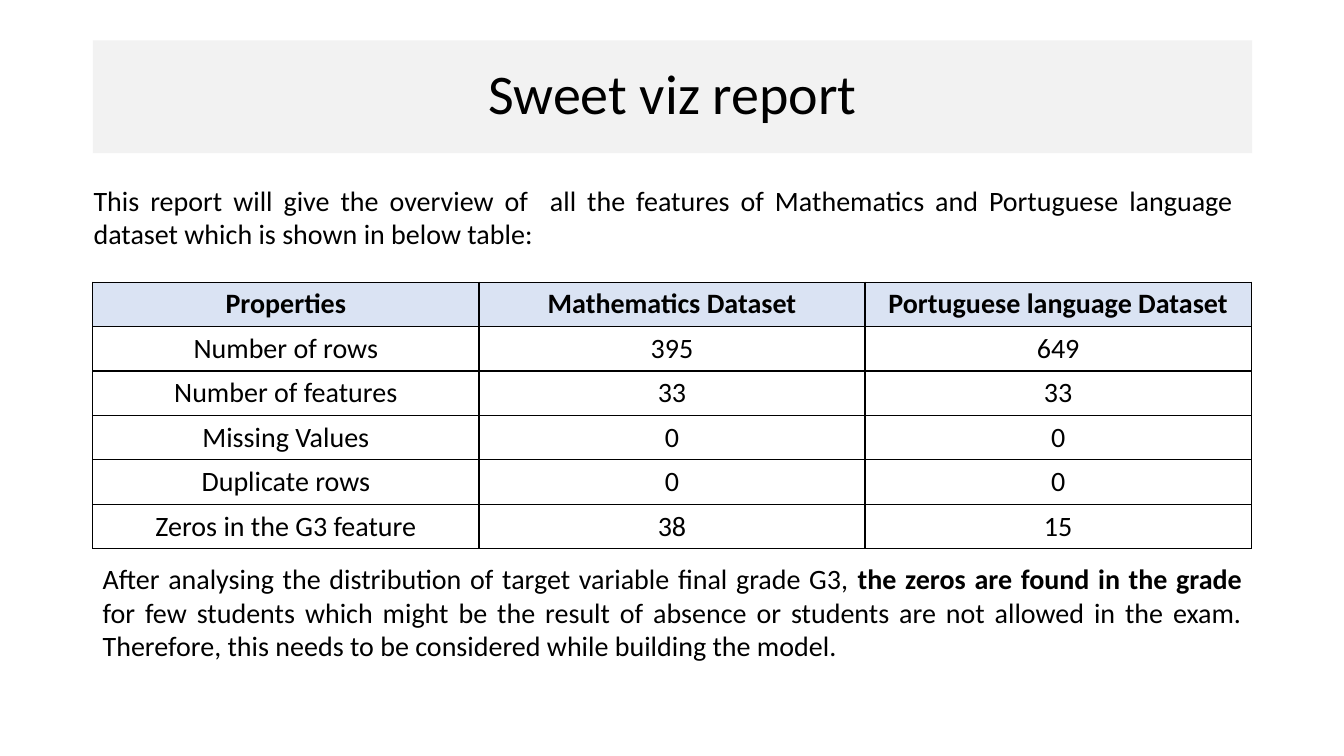
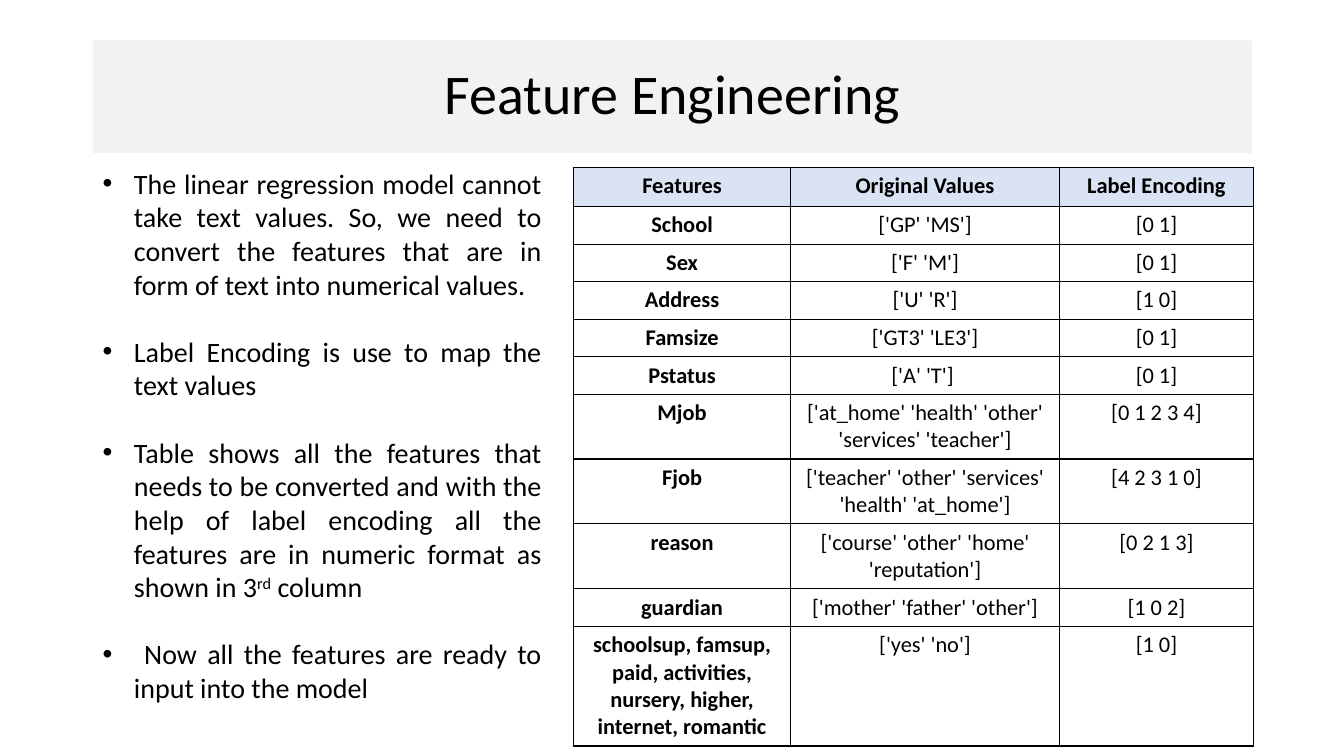
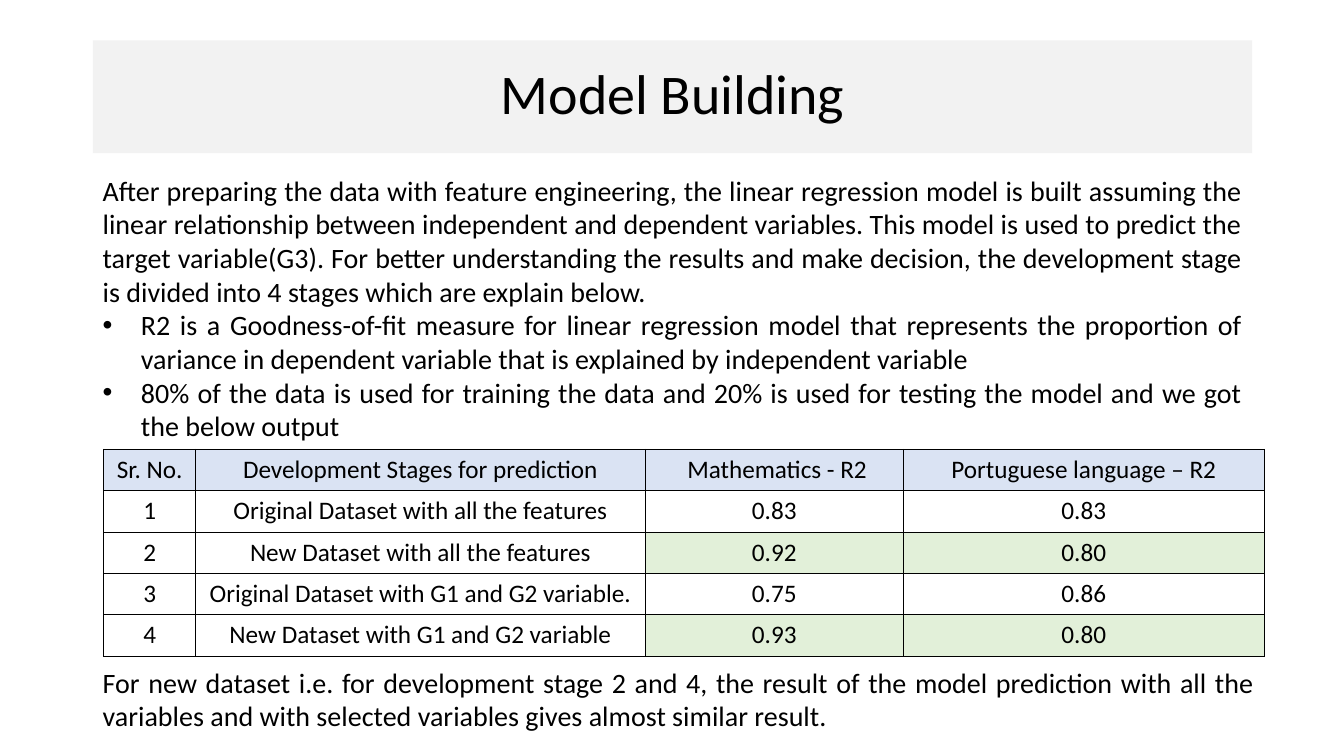
"""Build three slides on a student grade model: data report, feature encoding and results."""
import pptx
import pptx.util
import pptx.dml.color
import pptx.enum.text
import pptx.oxml
import pptx.oxml.ns
from lxml import etree

Inches, Pt = pptx.util.Inches, pptx.util.Pt
ALIGN = pptx.enum.text.PP_ALIGN
ANCHOR = pptx.enum.text.MSO_ANCHOR
RGB = pptx.dml.color.RGBColor.from_string
COLORS = {"text": "000000", "band": "F2F2F2", "header": "DAE3F3", "best": "E2F0D9"}
TITLE_AT = (0.92, 0.4, 11.5, 1.12)

slides = [
    {
        "title": "Sweet viz report",
        "at": (0.92, 2.8), "cols": [3.83] * 3, "heights": [0.44] * 6, "size": 20,
        "bold_header": True, "bold_first": False, "best": [],
        "rows": [
            ["Properties", "Mathematics Dataset", "Portuguese language Dataset"],
            ["Number of rows", "395", "649"],
            ["Number of features", "33", "33"],
            ["Missing Values", "0", "0"],
            ["Duplicate rows", "0", "0"],
            ["Zeros in the G3 feature", "38", "15"],
        ],
        "indent": 0, "gap": 0,
        "texts": [
            ((0.83, 1.77, 11.5, 0.77), [
                [("This report will give the overview of  all the features of Mathematics and "
                  "Portuguese language dataset which is shown in below table:", {})],
            ]),
            ((0.92, 5.52, 11.5, 1.41), [
                [("After analysing the distribution of target variable final grade G3, ", {}),
                 ("the zeros are found in the grade ", {"bold": True}),
                 ("for few students which might be the result of absence or students are not "
                  "allowed in the exam. Therefore, this needs to be considered while building "
                  "the model.", {})],
            ]),
        ],
    },
    {
        "title": "Feature Engineering",
        "at": (5.69, 1.66), "cols": [2.15, 2.67, 1.92], "size": 16,
        "heights": [0.39] + [0.35] * 5 + [0.61] * 3 + [0.35, 1.12],
        "bold_header": True, "bold_first": True, "best": [],
        "rows": [
            ["Features", "Original Values", "Label Encoding"],
            ["School", "['GP' 'MS']", "[0 1]"],
            ["Sex", "['F' 'M']", "[0 1]"],
            ["Address", "['U' 'R']", "[1 0]"],
            ["Famsize", "['GT3' 'LE3']", "[0 1]"],
            ["Pstatus", "['A' 'T'] ", "[0 1]"],
            ["Mjob", "['at_home' 'health' 'other' 'services' 'teacher']", "[0 1 2 3 4]"],
            ["Fjob", "['teacher' 'other' 'services' 'health' 'at_home']", "[4 2 3 1 0]"],
            ["reason", "['course' 'other' 'home' 'reputation']", "[0 2 1 3]"],
            ["guardian", "['mother' 'father' 'other']", "[1 0 2]"],
            ["schoolsup, famsup, paid, activities, nursery, higher, internet, romantic",
             "['yes' 'no']", "[1 0]"],
        ],
        "indent": 0.31, "gap": 24,
        "texts": [
            ((0.92, 1.6, 4.55, 6.09), [
                [("The linear regression model cannot take text values. So, we need to convert "
                  "the features that are in form of text into numerical values.", {})],
                [("Label Encoding is use to map the text values ", {})],
                [("Table shows all the features that needs to be converted and with the help of "
                  "label encoding all the features are in numeric format as shown in 3", {}),
                 ("rd", {"raised": True}),
                 (" column", {})],
                [(" Now all the features are ready to input into the model", {})],
            ]),
        ],
    },
    {
        "title": "Model Building",
        "at": (1.03, 4.46), "cols": [0.91, 4.46, 2.56, 3.58], "heights": [0.41] * 5, "size": 18,
        "bold_header": False, "bold_first": False, "best": [2, 4],
        "rows": [
            ["Sr. No.", "Development Stages for prediction", " Mathematics - R2",
             "Portuguese language – R2"],
            ["1", "Original Dataset with all the features", "0.83", "0.83"],
            ["2", "New Dataset with all the features", "0.92", "0.80"],
            ["3", "Original Dataset with G1 and G2 variable.", "0.75", "0.86"],
            ["4", "New Dataset with G1 and G2 variable", "0.93", "0.80"],
        ],
        "indent": 0.38, "gap": 0,
        "texts": [
            ((0.92, 1.67, 11.5, 2.79), [
                [("After preparing the data with feature engineering, the linear regression model "
                  "is built assuming the linear relationship between independent and dependent "
                  "variables. This model is used to predict the target variable(G3). For better "
                  "understanding the results and make decision, the development stage is divided "
                  "into 4 stages which are explain below. ", {"bullet": False})],
                [("R2 is a Goodness-of-fit measure for linear regression model that represents the "
                  "proportion of variance in dependent variable that is explained by independent "
                  "variable", {})],
                [("80% of the data is used for training the data and 20% is used for testing the "
                  "model and we got the below output", {})],
            ]),
            ((0.92, 6.55, 11.62, 1.11), [
                [("For new dataset i.e. for development stage 2 and 4, the result of the model "
                  "prediction with all the variables and with selected variables gives almost "
                  "similar result. ", {"bullet": False})],
            ]),
        ],
    },
]


def write(p, text, size=20, align=ALIGN.JUSTIFY, bold=False, raised=False, bullet=True, indent=0):
    p.alignment = align
    r = p.add_run()
    r.text = text
    r.font.name, r.font.size, r.font.bold = "Calibri", Pt(size), bold
    r.font.color.rgb = RGB(COLORS["text"])
    if raised:
        r.font._element.set("baseline", "30000")
    pPr = p._p.get_or_add_pPr()
    if bullet and indent and pPr.find(pptx.oxml.ns.qn("a:buChar")) is None:
        pPr.set("marL", str(Inches(indent)))
        pPr.set("indent", str(-Inches(indent)))
        etree.SubElement(pPr, pptx.oxml.ns.qn("a:buFont")).set("typeface", "Arial")
        etree.SubElement(pPr, pptx.oxml.ns.qn("a:buChar")).set("char", "•")


def add_borders(cell):
    tcPr = cell._tc.get_or_add_tcPr()
    for side in ("lnL", "lnR", "lnT", "lnB"):
        tcPr.append(pptx.oxml.parse_xml(
            f'<a:{side} {pptx.oxml.ns.nsdecls("a")} w="{Pt(1)}"><a:solidFill>'
            f'<a:srgbClr val="{COLORS["text"]}"/></a:solidFill></a:{side}>'))


prs = pptx.Presentation()
prs.slide_width, prs.slide_height = Inches(13.33), Inches(7.5)

for content in slides:
    s = prs.slides.add_slide(prs.slide_layouts[5])

    title = s.shapes.title
    title.left, title.top, title.width, title.height = map(Inches, TITLE_AT)
    title.fill.solid()
    title.fill.fore_color.rgb = RGB(COLORS["band"])
    tf = title.text_frame
    tf.auto_size = pptx.enum.text.MSO_AUTO_SIZE.NONE
    tf.vertical_anchor = ANCHOR.MIDDLE
    tf.paragraphs[0].line_spacing = 0.9
    write(tf.paragraphs[0], content["title"], size=40, align=ALIGN.CENTER)

    rows, cols, heights = content["rows"], content["cols"], content["heights"]
    left, top = content["at"]
    table = s.shapes.add_table(len(rows), len(cols), Inches(left), Inches(top),
                               Inches(sum(cols)), Inches(sum(heights))).table
    table.first_row = table.horz_banding = False
    for column, width in zip(table.columns, cols):
        column.width = Inches(width)
    for i, values in enumerate(rows):
        table.rows[i].height = Inches(heights[i])
        for j, value in enumerate(values):
            cell = table.cell(i, j)
            add_borders(cell)
            if i == 0 or (i in content["best"] and j >= 2):
                cell.fill.solid()
                cell.fill.fore_color.rgb = RGB(COLORS["header" if i == 0 else "best"])
            else:
                cell.fill.background()
            bold = (i == 0 and content["bold_header"]) or (j == 0 and content["bold_first"])
            write(cell.text_frame.paragraphs[0], value, size=content["size"],
                  align=ALIGN.CENTER, bold=bold)

    for at, paragraphs in content["texts"]:
        tf = s.shapes.add_textbox(*map(Inches, at)).text_frame
        tf.word_wrap = True
        for k, runs in enumerate(paragraphs):
            p = tf.add_paragraph() if k else tf.paragraphs[0]
            if k and content["gap"]:
                p.space_before = Pt(content["gap"])
            for text, style in runs:
                write(p, text, indent=content["indent"], **style)

prs.save("out.pptx")
